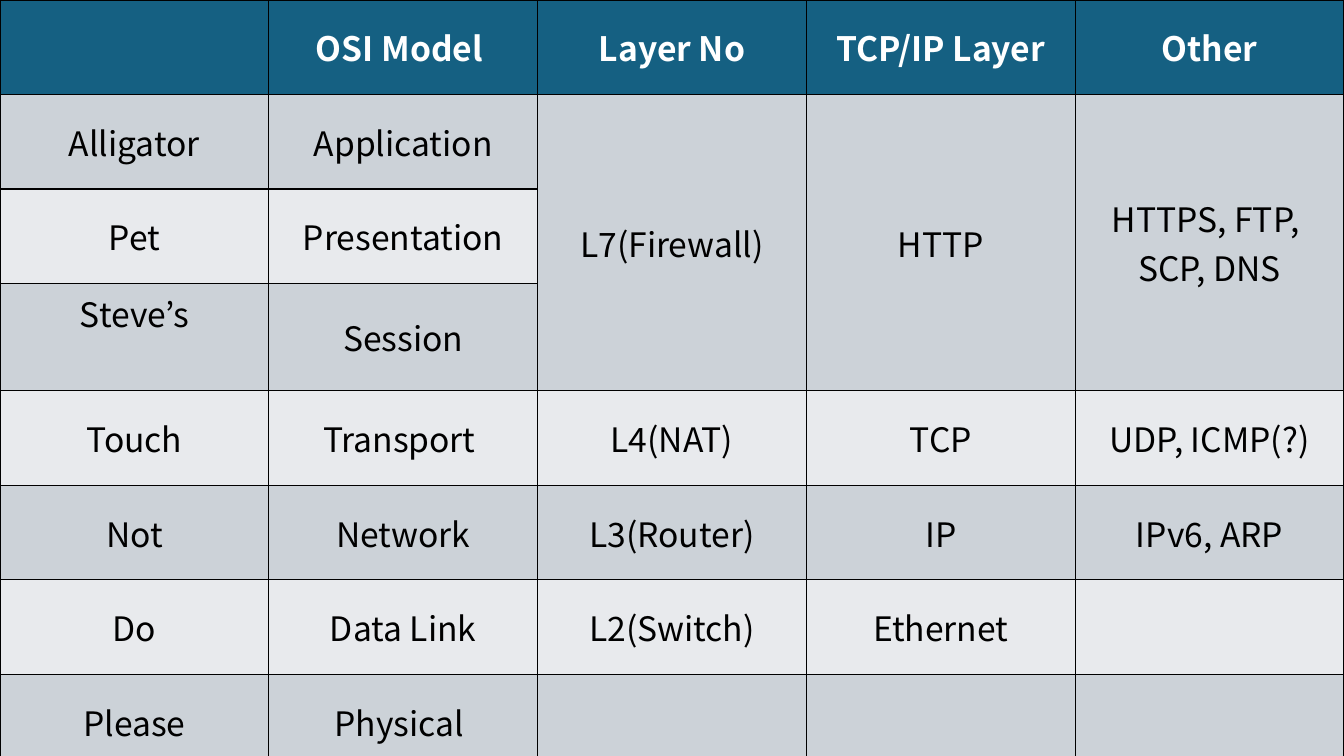
from lxml.etree import SubElement
from pptx import Presentation
from pptx.dml.color import RGBColor
from pptx.enum.text import MSO_ANCHOR, PP_ALIGN
from pptx.oxml.ns import qn
from pptx.util import Inches, Pt

HEADINGS = ["", "OSI Model ", "Layer No", "TCP/IP Layer", "Other"]
LAYERS = [
    ["Alligator", "Application", "L7(Firewall)", "HTTP", "HTTPS, FTP, \nSCP, DNS"],
    ["Pet", "Presentation", "", "", ""],
    ["Steve’s", "Session", "", "", ""],
    ["Touch", "Transport ", "L4(NAT)", "TCP", "UDP, ICMP(?)"],
    ["Not", "Network", "L3(Router)", "IP", "IPv6, ARP"],
    ["Do", "Data Link", "L2(Switch)", "Ethernet", ""],
    ["Please", "Physical ", "", "", ""],
]
ROWS = [HEADINGS] + LAYERS
MERGED_COLUMNS = (2, 3, 4)
MERGED_ROWS = (1, 3)
RAISED_CELL = (3, 0)
RAISED_MARGIN = Inches(0.53)
FONT = "Noto Sans CJK KR"
FONT_SIZE = Pt(24)
BORDER_WIDTH = Pt(1)
COLOURS = {
    "header": "156082",
    "odd": "CCD2D8",
    "even": "E8EAED",
    "header_text": "FFFFFF",
    "text": "000000",
    "border": "000000",
}


def add_borders(cell):
    properties = cell._tc.get_or_add_tcPr()
    for side in ("a:lnL", "a:lnR", "a:lnT", "a:lnB"):
        line = SubElement(properties, qn(side), w=str(int(BORDER_WIDTH)))
        fill = SubElement(line, qn("a:solidFill"))
        SubElement(fill, qn("a:srgbClr"), val=COLOURS["border"])


def write_text(cell, text, is_header):
    colour = COLOURS["header_text" if is_header else "text"]
    for index, line in enumerate(text.split("\n")):
        frame = cell.text_frame
        para = frame.add_paragraph() if index else frame.paragraphs[0]
        para.alignment = PP_ALIGN.CENTER
        if line:
            span = para.add_run()
            span.text = line
            span.font.name = FONT
            span.font.size = FONT_SIZE
            span.font.bold = is_header
            span.font.color.rgb = RGBColor.from_string(colour)


def fill_cell(cell, text, row):
    add_borders(cell)
    band = "header" if row == 0 else "odd" if row % 2 else "even"
    cell.fill.solid()
    cell.fill.fore_color.rgb = RGBColor.from_string(COLOURS[band])
    cell.vertical_anchor = MSO_ANCHOR.MIDDLE
    write_text(cell, text, row == 0)


def main():
    deck = Presentation()
    deck.slide_width, deck.slide_height = Inches(13.33), Inches(7.5)
    page = deck.slides.add_slide(deck.slide_layouts[6])
    table = page.shapes.add_table(
        len(ROWS), len(HEADINGS), 0, 0, deck.slide_width, deck.slide_height
    ).table
    for row, texts in enumerate(ROWS):
        for column, text in enumerate(texts):
            fill_cell(table.cell(row, column), text, row)
    first, last = MERGED_ROWS
    for column in MERGED_COLUMNS:
        table.cell(first, column).merge(table.cell(last, column))
    table.cell(*RAISED_CELL).margin_bottom = RAISED_MARGIN
    deck.save("out.pptx")


if __name__ == "__main__":
    main()
